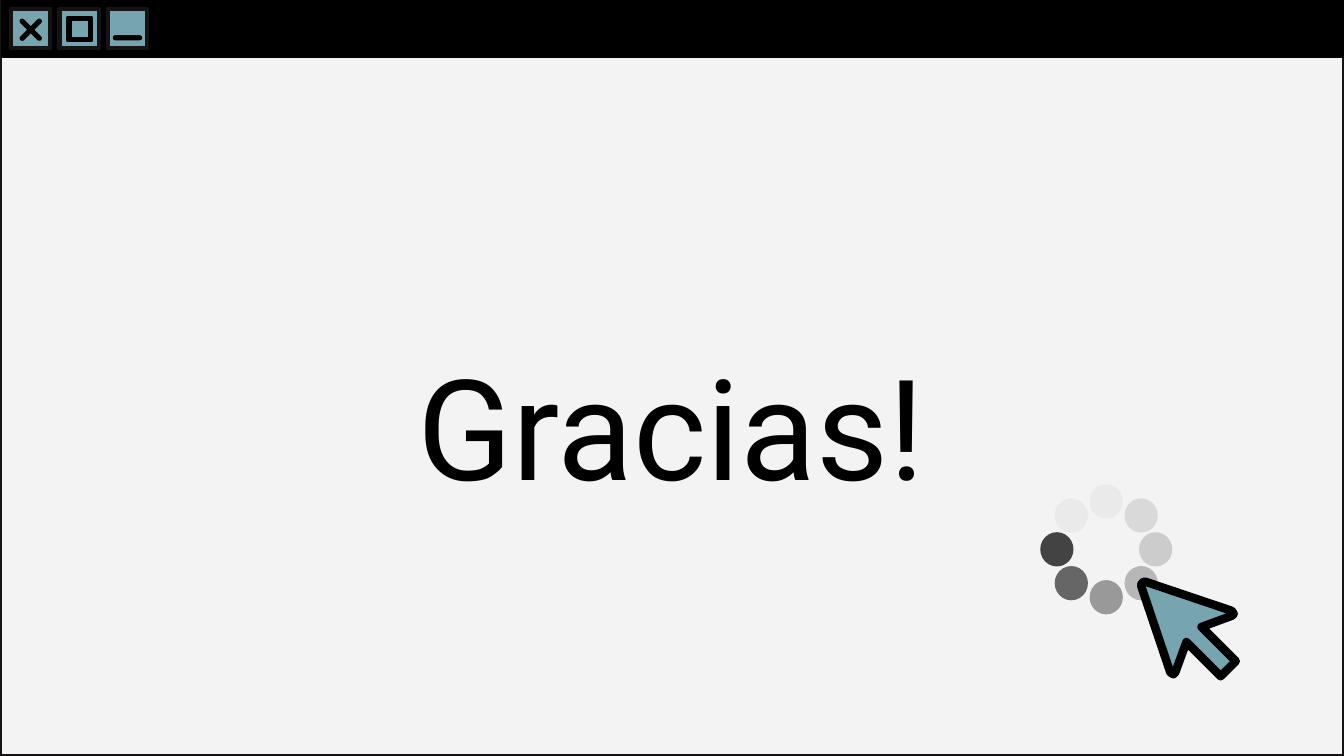
from math import cos, pi, sin

from lxml import etree
from pptx import Presentation
from pptx.dml.color import RGBColor
from pptx.enum.shapes import MSO_SHAPE
from pptx.enum.text import MSO_ANCHOR, PP_ALIGN
from pptx.oxml.ns import qn
from pptx.util import Inches, Pt

RECT, FRAME, OVAL = MSO_SHAPE.RECTANGLE, MSO_SHAPE.FRAME, MSO_SHAPE.OVAL
PILL = MSO_SHAPE.ROUNDED_RECTANGLE
MIDDLE, CENTER = MSO_ANCHOR.MIDDLE, PP_ALIGN.CENTER

COLORS = {"page": "F3F3F3", "edge": "151314", "ink": "000000", "teal": "76A5AF"}
# Spinner shades, clockwise from the upper left
SHADES = ["EAEAEA", "EAEAEA", "D9D9D9", "CCCCCC", "B7B7B7", "999999", "666666", "434343"]
FONT = "Roboto"
CELL = Inches(0.1)  # one column or row of the grid
COLS, ROWS = 133.33, 75


def grid(n):
    return round(n * CELL)


def rgb(color):
    return RGBColor.from_string(COLORS.get(color, color))


class SlideBuilder:
    def __init__(self, prs):
        self.s = prs.slides.add_slide(prs.slide_layouts[5])

    def style(self, sp, fill, line=None, weight=0):
        sp.shadow.inherit = False
        sp.fill.solid()
        sp.fill.fore_color.rgb = rgb(fill)
        if line is None:
            sp.line.fill.background()
            return
        sp.line.color.rgb = rgb(line)
        sp.line.width = Pt(weight)
        etree.SubElement(sp.line._get_or_add_ln(), qn("a:round"))

    def shape(self, kind, x, y, w, h, fill, line=None, weight=0, adj=None, turn=0):
        sp = self.s.shapes.add_shape(kind, grid(x), grid(y), grid(w), grid(h))
        self.style(sp, fill, line, weight)
        sp.rotation = turn
        if adj is not None:
            sp.adjustments[0] = adj
        return sp

    def bar(self, x, y, turn=0):
        self.shape(PILL, x, y, 2.7, 0.3, "ink", "ink", 1.5, adj=0.5, turn=turn)

    def outline(self, points, x, y, fill, line, weight):
        points = [(grid(x + dx), grid(y + dy)) for dx, dy in points]
        fb = self.s.shapes.build_freeform(*points[0])
        fb.add_line_segments(points[1:], close=True)
        self.style(fb.convert_to_shape(), fill, line, weight)

    def title(self, text, x, y, w, h, size):
        sp = self.s.shapes.title
        sp.left, sp.top, sp.width, sp.height = map(grid, (x, y, w, h))
        tree = sp.element.getparent()
        tree.append(sp.element)  # bring in front of the window
        tf = sp.text_frame
        tf.text = text
        tf.word_wrap = True
        tf.vertical_anchor = MIDDLE
        tf.margin_left = tf.margin_right = tf.margin_top = tf.margin_bottom = grid(1.3)
        p = tf.paragraphs[0]
        p.alignment = CENTER
        p.font.name, p.font.size = FONT, Pt(size)
        p.font.color.rgb = rgb("ink")


def main():
    prs = Presentation()
    prs.slide_width, prs.slide_height = grid(COLS), grid(ROWS)
    b = SlideBuilder(prs)

    # Window with its title bar
    b.shape(RECT, 0, 0, COLS, ROWS, "page", "edge", 3)
    b.shape(RECT, 0.2, 0.1, COLS, 5.6, "ink", "ink", 0.75)

    # Window buttons: close, maximise, minimise
    for i in range(3):
        b.shape(RECT, 1.1 + 4.8 * i, 0.9, 3.9, 3.9, "teal", "edge", 3)
    b.shape(FRAME, 6.7, 1.7, 2.4, 2.4, "ink", "ink", 1.5, adj=0.125)
    b.bar(11.3, 3.6)
    for turn in (45, 135):
        b.bar(1.7, 2.8, turn)

    b.title("Gracias!", 4.5, 19.9, 124.2, 44.5, 100)

    # Loading spinner
    w, h = 3.3, 3.4
    for i, shade in enumerate(SHADES):
        angle = (i - 3) * pi / 4
        x, y = 109.75 + 4.9 * cos(angle), 54.5 + 4.75 * sin(angle)
        b.shape(OVAL, x - w / 2, y - h / 2, w, h, shade)

    # Cursor, symmetric about its diagonal
    half = [(0.1, 0.1), (0, 0.4), (2.9, 9), (3.2, 9.2), (3.4, 9), (4.5, 6), (7.9, 9.4)]
    mirrored = [(y, x) for x, y in reversed(half[1:])]
    b.outline(half + mirrored, 113.2, 57.7, "teal", "ink", 6)

    prs.save("out.pptx")


if __name__ == "__main__":
    main()
